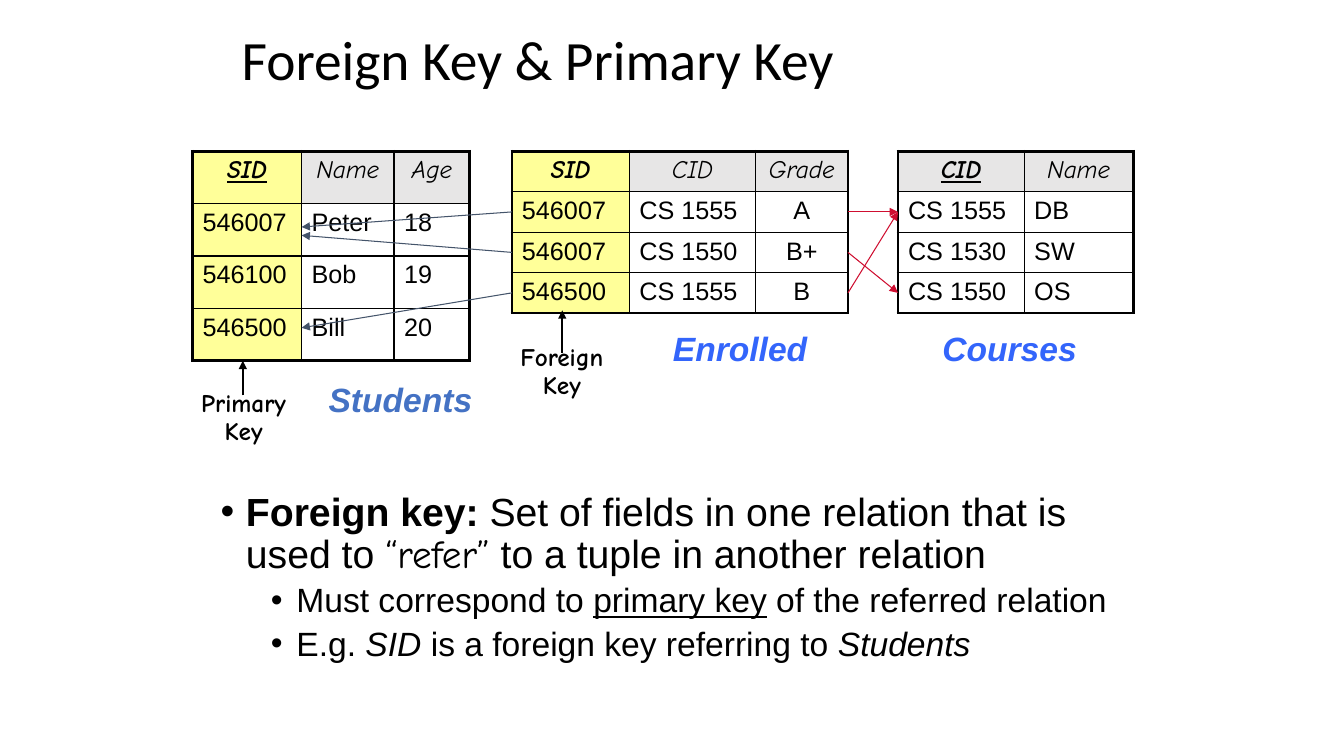
import pptx
import pptx.util
import pptx.dml.color
import pptx.enum.shapes
import pptx.enum.text
import pptx.oxml.ns
from lxml import etree
from pptx.util import Cm, Pt

BLACK, YELLOW, GREY = "000000", "FFFF99", "E7E6E6"
SLATE, RED, BLUE, STEEL = "44546A", "CF0E30", "3365FB", "4472C4"
CENTER = pptx.enum.text.PP_ALIGN.CENTER
LEFT = pptx.enum.text.PP_ALIGN.LEFT

TABLE_TOP = 3.81
ROW_HEIGHT = 1.02
STUDENTS_ROW_HEIGHT = 1.32
STUDENTS_LEFT, STUDENTS_COLUMNS = 4.85, (2.75, 2.33, 1.91)
ENROLLED_LEFT, ENROLLED_COLUMNS = 12.9, (2.96, 3.18, 2.33)
COURSES_LEFT, COURSES_COLUMNS = 22.63, (3.18, 2.75)

HANDWRITTEN = {"name": "Comic Neue", "size": Pt(18)}
HEADER = HANDWRITTEN | {"italic": True}
KEY = HEADER | {"bold": True}
PRIMARY_KEY = KEY | {"underline": True}
VALUE = {"name": "Arial", "size": Pt(18)}
CAPTION = {"name": "Arial", "size": Pt(24), "bold": True, "italic": True}
DEFINITION = {"name": "Arial", "size": Pt(28)}
DETAIL = {"name": "Arial", "size": Pt(24)}


def rgb(color):
    return pptx.dml.color.RGBColor.from_string(color)


def add_xml(parent, tag, **attributes):
    return etree.SubElement(parent, pptx.oxml.ns.qn(tag), attributes)


def add_run(paragraph, text, style, color=BLACK):
    run = paragraph.add_run()
    run.text = text
    for attribute, value in style.items():
        setattr(run.font, attribute, value)
    run.font.color.rgb = rgb(color)


def add_text_frame(slide, left, top, width, height):
    frame = slide.shapes.add_textbox(Cm(left), Cm(top), Cm(width), Cm(height)).text_frame
    frame.word_wrap = True
    return frame


def add_label(slide, text, box, style, color=BLACK, align=LEFT):
    frame = add_text_frame(slide, *box)
    paragraph = frame.paragraphs[0]
    paragraph.alignment = align
    paragraph.line_spacing = 0.9
    add_run(paragraph, text, style, color)
    return frame


def add_bullet(paragraph, runs, level, margin, space_before):
    paragraph.level = level
    paragraph.line_spacing = 0.9
    paragraph.space_before = Pt(space_before)
    properties = paragraph._p.get_or_add_pPr()
    properties.set("marL", str(Cm(margin)))
    properties.set("indent", str(-Cm(0.64)))
    add_xml(properties, "a:buFont", typeface="Arial")
    add_xml(properties, "a:buChar", char="•")
    for text, style in runs:
        add_run(paragraph, text, style)


def add_border(cell, side, width):
    line = add_xml(cell._tc.get_or_add_tcPr(), f"a:ln{side}", w=str(Pt(width)))
    add_xml(add_xml(line, "a:solidFill"), "a:srgbClr", val=BLACK)


def add_relation(slide, left, columns, row_height, rows, key_style,
                 key_fill=None, centered_column=None):
    """Draw a relation whose first column is the key, with a thick outer frame."""
    last_row, last_column = len(rows) - 1, len(columns) - 1
    table = slide.shapes.add_table(
        len(rows), len(columns), Cm(left), Cm(TABLE_TOP),
        Cm(sum(columns)), Cm(row_height * len(rows))).table
    table.first_row = table.horz_banding = False
    for column, width in zip(table.columns, columns):
        column.width = Cm(width)
    for r, values in enumerate(rows):
        table.rows[r].height = Cm(row_height)
        for c, value in enumerate(values):
            cell = table.cell(r, c)
            outer = {"L": c == 0, "R": c == last_column, "T": r == 0, "B": r == last_row}
            for side, thick in outer.items():
                add_border(cell, side, 2.25 if thick else 1)
            fill = (key_fill if c == 0 else None) or (GREY if r == 0 else None)
            if fill:
                cell.fill.solid()
                cell.fill.fore_color.rgb = rgb(fill)
            else:
                cell.fill.background()
            paragraph = cell.text_frame.paragraphs[0]
            paragraph.alignment = CENTER if r == 0 or c == centered_column else LEFT
            header_style = key_style if c == 0 else HEADER
            add_run(paragraph, value, header_style if r == 0 else VALUE)


def add_arrow(slide, start, end, color, width):
    arrow = slide.shapes.add_connector(
        pptx.enum.shapes.MSO_CONNECTOR.STRAIGHT, *map(Cm, start + end))
    arrow.line.color.rgb = rgb(color)
    arrow.line.width = Pt(width)
    add_xml(arrow.line._get_or_add_ln(), "a:tailEnd", type="triangle")
    add_xml(arrow._element.spPr, "a:effectLst")


def row_middle(row):
    return TABLE_TOP + (row + 0.5) * ROW_HEIGHT


def add_references(slide):
    students_key_edge = STUDENTS_LEFT + STUDENTS_COLUMNS[0]
    for row, student_y in ((1, 5.72), (2, 5.93), (3, 8.26)):
        add_arrow(slide, (ENROLLED_LEFT, row_middle(row)),
                  (students_key_edge, student_y), SLATE, 0.75)
    enrolled_right = ENROLLED_LEFT + sum(ENROLLED_COLUMNS)
    for row, course_row in ((1, 1), (3, 1), (2, 3)):
        add_arrow(slide, (enrolled_right, row_middle(row)),
                  (COURSES_LEFT, row_middle(course_row)), RED, 0.75)


def add_definition(slide):
    frame = add_text_frame(slide, 5.31, 12.28, 23.9, 6.55)
    italic = DETAIL | {"italic": True}
    bullets = (
        (0, 0.64, 10, (
            ("Foreign key:", DEFINITION | {"bold": True}),
            (" Set of fields in one relation that is used to ", DEFINITION),
            ("“refer”", DEFINITION | {"name": "Comic Neue"}),
            (" to a tuple in another relation", DEFINITION))),
        (1, 1.91, 5, (
            ("Must correspond to ", DETAIL),
            ("primary key", DETAIL | {"underline": True}),
            (" of the referred relation", DETAIL))),
        (1, 1.91, 5, (
            ("E.g. ", DETAIL), ("SID ", italic),
            ("is a foreign key referring to ", DETAIL), ("Students", italic))),
    )
    for index, (level, margin, space_before, runs) in enumerate(bullets):
        paragraph = frame.add_paragraph() if index else frame.paragraphs[0]
        add_bullet(paragraph, runs, level, margin, space_before)


def main():
    deck = pptx.Presentation()
    deck.slide_width, deck.slide_height = Cm(33.87), Cm(19.05)
    slide = deck.slides.add_slide(deck.slide_layouts[6])

    title = add_label(slide, "Foreign Key & Primary Key", (5.84, 0.84, 22.23, 1.47),
                      {"name": "Calibri", "size": Pt(39.6)})
    title.vertical_anchor = pptx.enum.text.MSO_ANCHOR.MIDDLE

    add_relation(slide, STUDENTS_LEFT, STUDENTS_COLUMNS, STUDENTS_ROW_HEIGHT, (
        ("SID", "Name", "Age"), ("546007", "Peter", "18"),
        ("546100", "Bob", "19"), ("546500", "Bill", "20")), PRIMARY_KEY, YELLOW)
    add_relation(slide, COURSES_LEFT, COURSES_COLUMNS, ROW_HEIGHT, (
        ("CID", "Name"), ("CS 1555", "DB"),
        ("CS 1530", "SW"), ("CS 1550", "OS")), PRIMARY_KEY)
    add_relation(slide, ENROLLED_LEFT, ENROLLED_COLUMNS, ROW_HEIGHT, (
        ("SID", "CID", "Grade"), ("546007", "CS 1555", "A"),
        ("546007", "CS 1550", "B+"), ("546500", "CS 1555", "B")), KEY, YELLOW, 2)

    for name, left, top, width, color in (("Students", 8.03, 9.53, 5.08, STEEL),
                                          ("Courses", 23.5, 8.26, 4.01, BLUE),
                                          ("Enrolled", 16.71, 8.26, 5.08, BLUE)):
        add_label(slide, name, (left, top, width, 1.19), CAPTION, color)

    add_references(slide)
    add_definition(slide)

    for text, left, top, arrow_x, arrow_start, arrow_end in (
            ("Primary Key", 4.45, 9.73, 6.12, 9.96, 9.09),
            ("Foreign Key", 12.47, 8.57, 14.17, 8.89, 7.82)):
        add_label(slide, text, (left, top, 3.38, 1.65),
                  HANDWRITTEN | {"bold": True}, align=CENTER)
        add_arrow(slide, (arrow_x, arrow_start), (arrow_x, arrow_end), BLACK, 1.5)

    deck.save("out.pptx")


if __name__ == "__main__":
    main()
